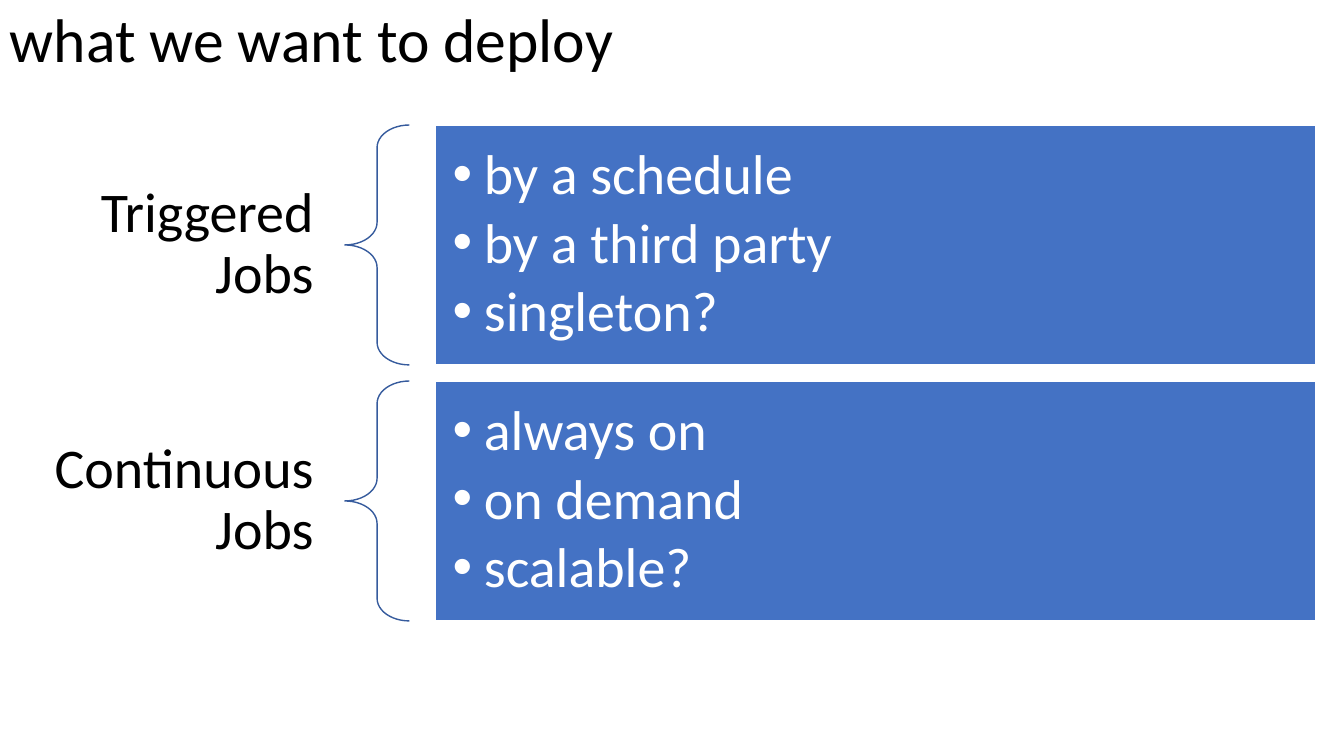
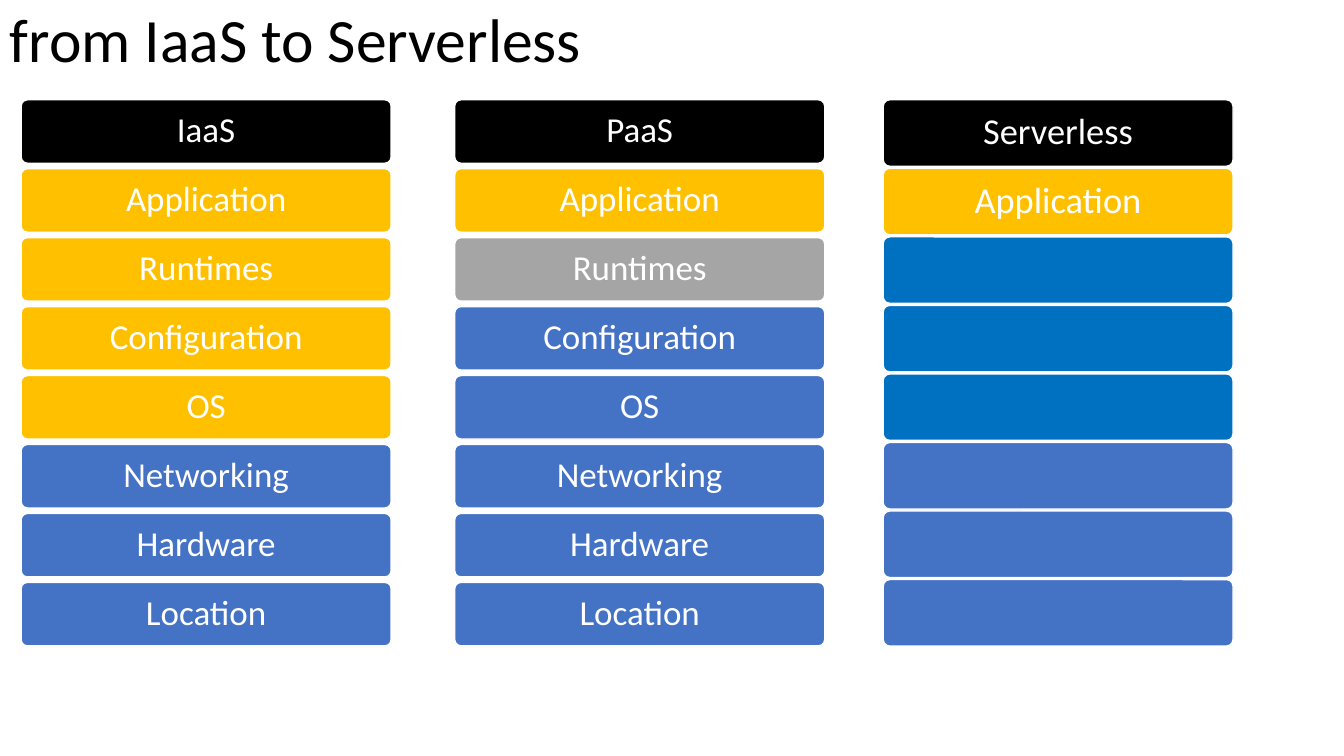
from lxml.etree import SubElement
from pptx import Presentation
from pptx.dml.color import RGBColor
from pptx.enum.shapes import MSO_SHAPE
from pptx.enum.text import MSO_ANCHOR, PP_ALIGN
from pptx.oxml.ns import qn
from pptx.util import Inches, Pt

FONT = "Calibri"
BLACK, WHITE = "000000", "FFFFFF"
BLUE, GOLD, GRAY, AZURE, NAVY = "4472C4", "FFC000", "A5A5A5", "0070C0", "365B9D"

JOBS = [
    ("Triggered Jobs", ["by a schedule", "by a third party", "singleton?"]),
    ("Continuous Jobs", ["always on", "on demand", "scalable?"]),
]
LAYERS = ["Application", "Runtimes", "Configuration", "OS",
          "Networking", "Hardware", "Location"]
# Each stack: labels, fills, left, width, row height, row pitch, text size
STACKS = [
    (["IaaS"] + LAYERS, [BLACK] + [GOLD] * 4 + [BLUE] * 3,
     0.21, 3.67, 0.63, 0.684, 25),
    (["PaaS"] + LAYERS, [BLACK, GOLD, GRAY] + [BLUE] * 5,
     4.51, 3.67, 0.63, 0.684, 25),
    (["Serverless", "Application"] + [""] * 6,
     [BLACK, GOLD] + [AZURE] * 3 + [BLUE] * 3,
     8.76, 3.47, 0.66, 0.68, 26),
]
STACK_TOP = 0.99
JOB_TOP, JOB_HIGH, JOB_STEP = 1.24, 2.38, 2.54
LABEL_HIGH = 1.46


def color(code):
    return RGBColor.from_string(code)


def add_bullet(para, indent):
    props = para._p.get_or_add_pPr()
    props.set("marL", str(Inches(indent)))
    props.set("indent", str(-Inches(indent)))
    SubElement(props, qn("a:buFont"), typeface="Arial")
    SubElement(props, qn("a:buChar"), char="•")


def write(shape, lines, size, ink, align=PP_ALIGN.LEFT, pad=(0.1, 0.05),
          gap=0, bullet=False):
    """Fill a shape with one paragraph a line; pad is (side, top and bottom)."""
    frame = shape.text_frame
    frame.word_wrap = True
    frame.vertical_anchor = MSO_ANCHOR.MIDDLE
    frame.margin_left = frame.margin_right = Inches(pad[0])
    frame.margin_top = frame.margin_bottom = Inches(pad[1])
    for i, line in enumerate(lines):
        para = frame.add_paragraph() if i else frame.paragraphs[0]
        para.alignment = align
        para.line_spacing = 0.9
        para.space_after = Pt(gap)
        if bullet:
            add_bullet(para, 0.31)
        run = para.add_run()
        run.text = line
        run.font.size = Pt(size)
        run.font.name = FONT
        run.font.color.rgb = color(ink)


def add_text(slide, box, *args, **style):
    write(slide.shapes.add_textbox(*map(Inches, box)), *args, **style)


def add_shape(slide, kind, box, fill=None, line=WHITE, adjust=()):
    shape = slide.shapes.add_shape(kind, *map(Inches, box))
    shape.shadow.inherit = False
    if fill:
        shape.fill.solid()
        shape.fill.fore_color.rgb = color(fill)
    else:
        shape.fill.background()
    shape.line.color.rgb = color(line)
    shape.line.width = Pt(1)
    for i, value in enumerate(adjust):
        shape.adjustments[i] = value
    return shape


def new_slide(deck, title):
    slide = deck.slides.add_slide(deck.slide_layouts[6])
    add_text(slide, (0, 0.02, 11.5, 0.8), [title], 44, BLACK)
    return slide


def draw_jobs(slide):
    for i, (label, points) in enumerate(JOBS):
        top = JOB_TOP + i * JOB_STEP
        mid = top + (JOB_HIGH - LABEL_HIGH) / 2
        add_text(slide, (0.21, mid, 3.21, LABEL_HIGH), [label], 40, BLACK,
                 align=PP_ALIGN.RIGHT, pad=(0.31, 0.11))
        add_shape(slide, MSO_SHAPE.LEFT_BRACE, (3.42, top, 0.64, JOB_HIGH),
                  line=NAVY, adjust=(0.35, 0.5))
        panel = add_shape(slide, MSO_SHAPE.RECTANGLE,
                          (4.32, top, 8.73, JOB_HIGH), BLUE)
        write(panel, points, 40, WHITE, pad=(0.17, 0.17), gap=5.5, bullet=True)


def draw_stacks(slide):
    for labels, fills, left, wide, high, pitch, size in STACKS:
        for row, (label, fill) in enumerate(zip(labels, fills)):
            box = (left, STACK_TOP + row * pitch, wide, high)
            tile = add_shape(slide, MSO_SHAPE.ROUNDED_RECTANGLE, box, fill,
                             adjust=(0.1,))
            if label:
                write(tile, [label], size, WHITE, align=PP_ALIGN.CENTER,
                      pad=(0.12, 0.1))


def main():
    deck = Presentation()
    deck.slide_width, deck.slide_height = Inches(13.33), Inches(7.5)
    draw_jobs(new_slide(deck, "what we want to deploy"))
    draw_stacks(new_slide(deck, "from IaaS to Serverless"))
    deck.save("out.pptx")


if __name__ == "__main__":
    main()
